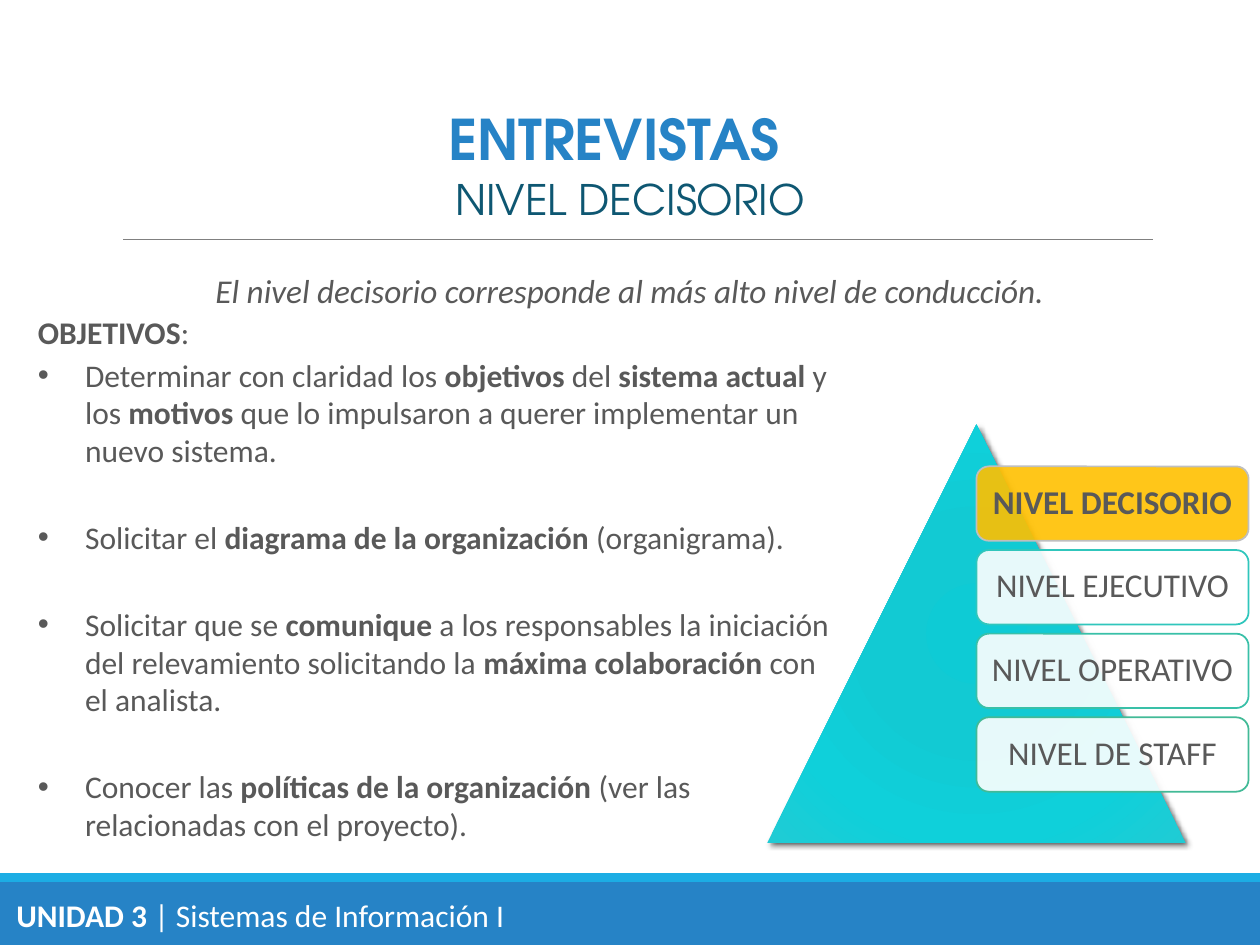
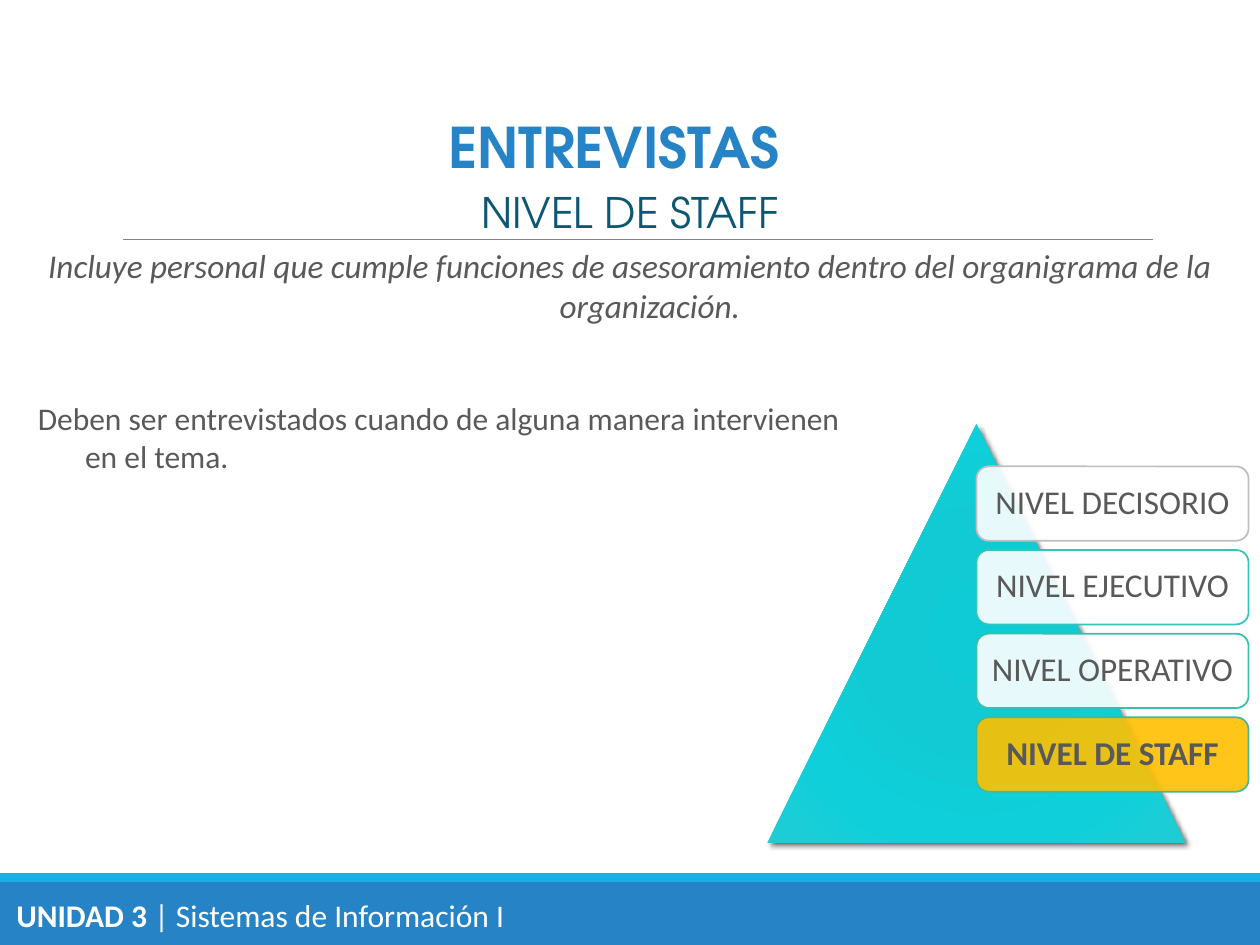
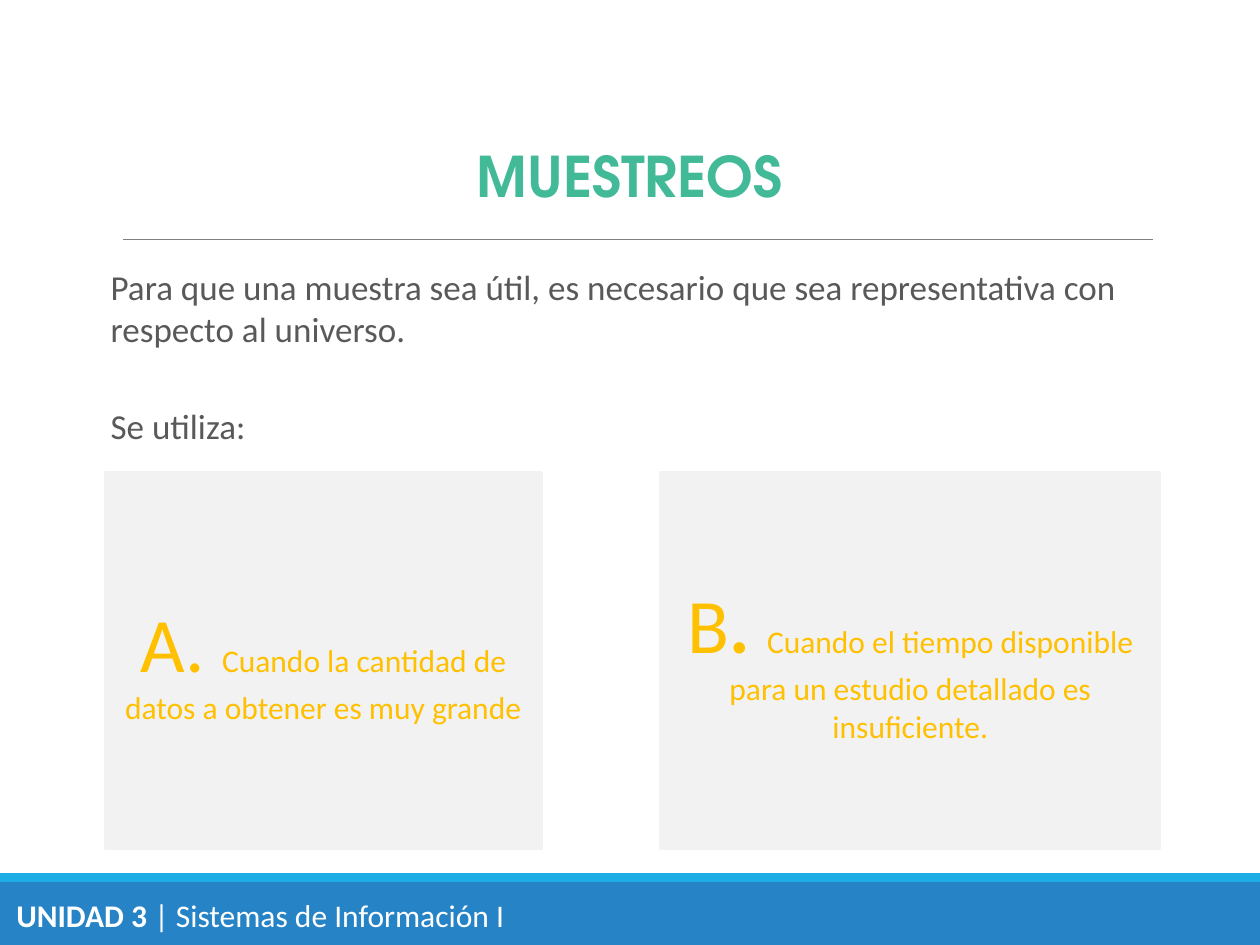
import pptx
import pptx.dml.color
import pptx.enum.shapes
import pptx.enum.text
import pptx.oxml.ns
import pptx.util
from lxml import etree

Pt = pptx.util.Pt
qn = pptx.oxml.ns.qn
SHAPE = pptx.enum.shapes.MSO_SHAPE
ALIGN = pptx.enum.text.PP_ALIGN
ANCHOR = pptx.enum.text.MSO_ANCHOR

BODY_FONT = "Calibri"
TITLE_FONT = "TeX Gyre Adventor"
BLUE = "2683C6"
SKY = "1CADE4"
NAVY = "0E5772"
GREEN = "42BA97"
GOLD = "FFC000"
GREY = "595959"
LIGHT = "F2F2F2"
WHITE = "FFFFFF"
RULE = "808080"

MARGIN = 14.4
FULL_WIDTH = 691.2
HANG = 27
LEVELS = [
    ("NIVEL DECISORIO", "BFBFBF"),
    ("NIVEL EJECUTIVO", "30C6BC"),
    ("NIVEL OPERATIVO", "39C0A8"),
    ("NIVEL DE STAFF", GREEN),
]
GRADIENT = [(0, "0ECBD5"), (34, "12CAD3"), (70, "0FD0DA"), (100, "20CBD4")]


def rgb(value):
    return pptx.dml.color.RGBColor.from_string(value)


def element(parent, tag, **attributes):
    return etree.SubElement(parent, qn(tag), {k: str(v) for k, v in attributes.items()})


def add_text(tf, text, size=18, color=GREY, font=BODY_FONT, bold=False, italic=False,
             align=None, before=0, spacing=None, left=0, first=0, bullet=None, join=False):
    p = tf.paragraphs[-1]
    if not join:
        if p.runs:
            p = tf.add_paragraph()
        p.alignment = align
        p.space_before = Pt(before)
        p.line_spacing = spacing
        pPr = p._p.get_or_add_pPr()
        pPr.set("marL", str(Pt(left)))
        pPr.set("indent", str(Pt(first)))
        if bullet:
            element(pPr, "a:buFont", typeface="Arial")
            element(pPr, "a:buChar", char=bullet)
        else:
            element(pPr, "a:buNone")
    for i, part in enumerate(text.split("*")):
        if part:
            r = p.add_run()
            r.text = part
            r.font.name = font
            r.font.size = Pt(size)
            r.font.bold = bold or i % 2 == 1
            r.font.italic = italic
            r.font.color.rgb = rgb(color)


def place(sp, left, top, width, height):
    sp.left, sp.top, sp.width, sp.height = Pt(left), Pt(top), Pt(width), Pt(height)
    tf = sp.text_frame
    tf.word_wrap = True
    tf.auto_size = pptx.enum.text.MSO_AUTO_SIZE.NONE
    tf.vertical_anchor = ANCHOR.TOP
    return tf


def add_box(s, left, top, width, height):
    return place(s.shapes.add_textbox(0, 0, 0, 0), left, top, width, height)


def add_shape(s, kind, left, top, width, height, fill, line=None, weight=1):
    sp = s.shapes.add_shape(kind, Pt(left), Pt(top), Pt(width), Pt(height))
    sp.shadow.inherit = False
    sp.fill.solid()
    sp.fill.fore_color.rgb = rgb(fill)
    if line:
        sp.line.color.rgb = rgb(line)
        sp.line.width = Pt(weight)
    else:
        sp.line.fill.background()
    sp.text_frame.word_wrap = True
    sp.text_frame.vertical_anchor = ANCHOR.MIDDLE
    return sp


def add_frame(s):
    add_shape(s, SHAPE.RECTANGLE, 0, 504, 720, 36, BLUE)
    add_shape(s, SHAPE.RECTANGLE, 0, 499, 720, 5, SKY)
    rule = s.shapes.add_connector(pptx.enum.shapes.MSO_CONNECTOR.STRAIGHT,
                                  Pt(70.5), Pt(136.8), Pt(658.8), Pt(136.8))
    rule.line.color.rgb = rgb(RULE)
    rule.line.width = Pt(0.5)
    element(rule._element.spPr, "a:effectLst")
    tf = add_box(s, 2.2, 508.3, 296.6, 29)
    add_text(tf, "*UNIDAD 3 *| Sistemas de Información I", color=WHITE)


def new_slide(prs):
    s = prs.slides.add_slide(prs.slide_layouts[1])
    add_frame(s)
    return s


def add_interview_title(s, level, spacing=None):
    shift = 9
    tf = place(s.shapes.title, MARGIN - shift, 60.5, FULL_WIDTH, 76)
    style = dict(font=TITLE_FONT, align=ALIGN.CENTER, spacing=spacing)
    add_text(tf, "ENTREVISTAS", size=32, color=BLUE, bold=True, **style)
    add_text(tf, level, size=24, color=NAVY, before=4, left=2 * shift, **style)


def add_intro(s, text, top, height, spacing=None):
    tf = add_box(s, MARGIN, top, FULL_WIDTH, height)
    add_text(tf, text, size=19, italic=True, align=ALIGN.CENTER, spacing=spacing,
             left=HANG, first=-HANG)


def add_triangle(s):
    sp = add_shape(s, SHAPE.ISOSCELES_TRIANGLE, 438.5, 242.6, 239, 239, GRADIENT[0][1])
    spPr = sp._element.spPr
    grad = etree.Element(qn("a:gradFill"), rotWithShape="1")
    stops = element(grad, "a:gsLst")
    for position, color in GRADIENT:
        element(element(stops, "a:gs", pos=position * 1000), "a:srgbClr", val=color)
    way = element(grad, "a:path", path="circle")
    element(way, "a:fillToRect", l=100000, t=100000, r=100000, b=100000)
    spPr.replace(spPr.find(qn("a:solidFill")), grad)
    shadow = element(spPr.find(qn("a:effectLst")), "a:outerShdw", blurRad=Pt(3),
                     dist=Pt(2), dir=45 * 60000, algn="tl", rotWithShape=0)
    element(element(shadow, "a:srgbClr", val="000000"), "a:alpha", val=60000)


def add_pyramid(s, current):
    add_triangle(s)
    for i, (name, line) in enumerate(LEVELS):
        active = name == current
        sp = add_shape(s, SHAPE.ROUNDED_RECTANGLE, 558, 266.5 + 47.8 * i, 155.5, 42.5,
                       GOLD if active else WHITE, line)
        color = sp._element.spPr.find(qn("a:solidFill"))[0]
        element(color, "a:alpha", val=90000)
        tf = sp.text_frame
        tf.margin_left = tf.margin_right = Pt(5)
        add_text(tf, name, size=19, bold=active, align=ALIGN.CENTER, spacing=0.9)


def add_reason(s, left, width, letter, text):
    sp = add_shape(s, SHAPE.RECTANGLE, left, 270, width, 215.3, LIGHT, LIGHT, 1.25)
    add_text(sp.text_frame, letter, size=44, color=GOLD, align=ALIGN.CENTER)
    add_text(sp.text_frame, text, color=GOLD, join=True)


def decision_slide(prs):
    s = new_slide(prs)
    add_interview_title(s, "NIVEL DECISORIO", 0.9)
    add_intro(s, "El nivel decisorio corresponde al más alto nivel de conducción.",
              153.7, 30, 0.9)
    add_pyramid(s, "NIVEL DECISORIO")
    tf = place(s.placeholders[1], MARGIN, 175, 474.5, 320)
    add_text(tf, "*OBJETIVOS*:", left=HANG, first=-HANG)
    goals = [
        "Determinar con claridad los *objetivos* del *sistema actual *y los *motivos* "
        "que lo impulsaron a querer implementar un nuevo sistema.",
        "Solicitar el *diagrama de la organización *(organigrama).",
        "Solicitar que se *comunique* a los responsables la iniciación del relevamiento "
        "solicitando la *máxima colaboración *con el analista.",
        "Conocer las *políticas de la organización *(ver las relacionadas con el proyecto).",
    ]
    for i, goal in enumerate(goals):
        add_text(tf, goal, before=28 if i else 3, left=HANG, first=-HANG, bullet="•")


def staff_slide(prs):
    s = new_slide(prs)
    add_interview_title(s, "NIVEL DE STAFF")
    add_intro(s, "Incluye personal que cumple funciones de asesoramiento dentro del "
              "organigrama de la organización. ", 136.6, 56)
    add_pyramid(s, "NIVEL DE STAFF")
    tf = place(s.placeholders[1], MARGIN, 224.6, 474.5, 75)
    add_text(tf, "Deben ser entrevistados cuando de alguna manera intervienen en el tema.",
             left=HANG, first=-HANG)


def sampling_slide(prs):
    s = new_slide(prs)
    tf = place(s.shapes.title, MARGIN, 77, FULL_WIDTH, 56)
    add_text(tf, "MUESTREOS", size=32, color=GREEN, font=TITLE_FONT, bold=True,
             align=ALIGN.CENTER)
    tf = place(s.placeholders[1], 56, 148.2, 644, 116)
    add_text(tf, "Para que una muestra sea útil, es necesario que sea representativa "
             "con respecto al universo.", size=20)
    add_text(tf, "Se utiliza:", size=20, before=31.5)
    add_reason(s, 59.8, 249.8, "A. ", "Cuando la cantidad de datos a obtener es muy grande")
    add_reason(s, 377.3, 285.8, "B*. *",
               "Cuando el tiempo disponible para un estudio detallado es insuficiente.")


def main():
    prs = pptx.Presentation()
    prs.slide_width, prs.slide_height = Pt(720), Pt(540)
    decision_slide(prs)
    staff_slide(prs)
    sampling_slide(prs)
    prs.save("out.pptx")


main()
